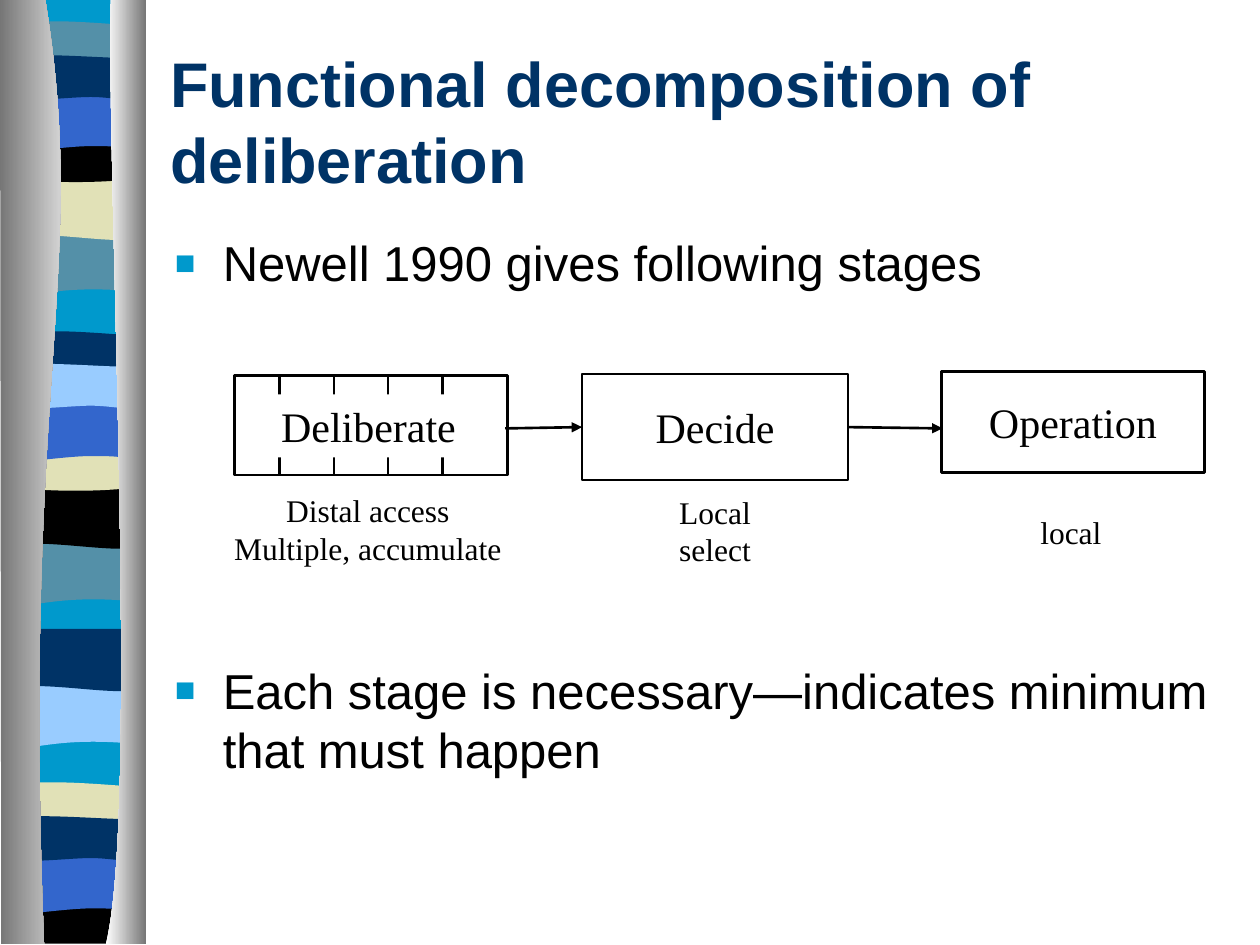
import dataclasses

import lxml.etree
import pptx
import pptx.dml.color
import pptx.enum.shapes
import pptx.enum.text
import pptx.oxml.ns
import pptx.util

Inches = pptx.util.Inches
Pt = pptx.util.Pt
RGB = pptx.dml.color.RGBColor.from_string
qn = pptx.oxml.ns.qn
SHAPE = pptx.enum.shapes.MSO_SHAPE
ANCHOR = pptx.enum.text.MSO_ANCHOR
ALIGN = pptx.enum.text.PP_ALIGN


@dataclasses.dataclass
class Theme:
    sans: str = "Arial"
    serif: str = "Times New Roman"
    title_pt: int = 36
    body_pt: int = 28
    stage_pt: int = 24
    caption_pt: int = 18
    line_pt: float = 1.5
    navy: str = "003366"
    cyan: str = "0099CC"
    teal: str = "5490A8"
    sand: str = "E1E1B7"
    blue: str = "3366CC"
    sky: str = "99CCFF"
    black: str = "000000"
    white: str = "FFFFFF"
    gray: str = "767676"


def write(tf, text, font, size, color, bold=False, align=ALIGN.LEFT,
          anchor=ANCHOR.MIDDLE, wrap=True):
    tf.text = text
    tf.word_wrap = wrap
    tf.vertical_anchor = anchor
    tf.auto_size = pptx.enum.text.MSO_AUTO_SIZE.NONE
    for p in tf.paragraphs:
        p.alignment = align
        for r in p.runs:
            r.font.name = font
            r.font.size = Pt(size)
            r.font.bold = bold
            r.font.color.rgb = RGB(color)


def bend_segments(sp, outline):
    segments = iter(list(sp._element.iter(qn("a:lnTo"))))
    for step in outline[1:]:
        first = next(segments)
        if len(step) == 6:
            first.tag = qn("a:cubicBezTo")
            for _ in range(2):
                other = next(segments)
                first.append(other[0])
                other.getparent().remove(other)


class SlideBuilder:
    def __init__(self, s, theme):
        self.s = s
        self.theme = theme

    def title(self, text, box):
        sp = self.s.shapes.title
        sp.left, sp.top, sp.width, sp.height = map(Inches, box)
        t = self.theme
        write(sp.text_frame, text, t.sans, t.title_pt, t.navy, bold=True)

    def outline(self, outline, x=0, y=0, color=None, gradient=None):
        points = [(Inches(x + step[i]), Inches(y + step[i + 1]))
                  for step in outline for i in range(0, len(step), 2)]
        builder = self.s.shapes.build_freeform(*points[0])
        builder.add_line_segments(points[1:], close=True)
        sp = builder.convert_to_shape()
        bend_segments(sp, outline)
        sp.shadow.inherit = False
        sp.line.fill.background()
        if gradient:
            sp.fill.gradient()
            sp.fill.gradient_angle = 0
            for stop, stop_color in zip(sp.fill.gradient_stops, gradient):
                stop.color.rgb = RGB(stop_color)
        else:
            sp.fill.solid()
            sp.fill.fore_color.rgb = RGB(color)

    def box(self, box, text="", filled=False, wrap=False):
        t = self.theme
        sp = self.s.shapes.add_shape(SHAPE.RECTANGLE, *map(Inches, box))
        sp.shadow.inherit = False
        if filled:
            sp.fill.solid()
            sp.fill.fore_color.rgb = RGB(t.white)
            sp.line.fill.background()
        else:
            sp.fill.background()
            sp.line.color.rgb = RGB(t.black)
            sp.line.width = Pt(t.line_pt)
        if text:
            write(sp.text_frame, text, t.serif, t.stage_pt, t.black,
                  align=ALIGN.CENTER, wrap=wrap)
        return sp

    def caption(self, text, box):
        t = self.theme
        sp = self.s.shapes.add_textbox(*map(Inches, box))
        write(sp.text_frame, text, t.serif, t.caption_pt, t.black,
              align=ALIGN.CENTER, wrap=False)

    def bullets(self, items, box, gap):
        t = self.theme
        sp = self.s.shapes.add_textbox(*map(Inches, box))
        tf = sp.text_frame
        write(tf, "\n".join(items), t.sans, t.body_pt, t.black, anchor=ANCHOR.TOP)
        for i, p in enumerate(tf.paragraphs):
            if i:
                p.space_before = Pt(gap)
            pPr = p._p.get_or_add_pPr()
            pPr.set("marL", str(Inches(0.38)))
            pPr.set("indent", str(-Inches(0.38)))
            color = lxml.etree.SubElement(pPr, qn("a:buClr"))
            lxml.etree.SubElement(color, qn("a:srgbClr"), val=t.cyan)
            lxml.etree.SubElement(pPr, qn("a:buSzPct"), val="70000")
            lxml.etree.SubElement(pPr, qn("a:buFont"), typeface=t.sans)
            lxml.etree.SubElement(pPr, qn("a:buChar"), char="■")

    def line(self, start, end, arrow=False):
        t = self.theme
        cx = self.s.shapes.add_connector(
            pptx.enum.shapes.MSO_CONNECTOR.STRAIGHT, *map(Inches, start + end))
        cx.line.color.rgb = RGB(t.black)
        cx.line.width = Pt(t.line_pt)
        if arrow:
            lxml.etree.SubElement(cx.line._get_or_add_ln(), qn("a:tailEnd"), type="triangle")
        lxml.etree.SubElement(cx._element.spPr, qn("a:effectLst"))
        return cx


RIPPLE = [(1.08, 0), (1.08, 0.47), (0.33, 0.39, 0.18, 0.55, 0, 0.47), (0, 0)]
SWELL = [(1.08, 0), (1.08, 0.47), (0.9, 0.55, 0.33, 0.41, 0, 0.47), (0, 0)]
RIBBON = [(1.08, 0.05), (1.08, 0.29), (0.9, 0.33, 0.18, 0.33, 0, 0.29), (0, 0.05),
          (0.06, 0, 0.23, 0.01, 0.41, 0.01), (0.59, 0.01, 0.94, 0.04, 1.08, 0.05)]
DIP = [(0, 0), (0.66, 0.05, 0.85, 0, 1.08, 0)]
BOWL = [(1.08, 0), (1.08, 0.32), (0.9, 0.38, 0.18, 0.38, 0, 0.32)] + DIP
FOOT = [(1.08, 0), (1.08, 0.37), (0, 0.37)] + DIP
ARCH = [(1.08, 0), (1.08, 0.47), (0.91, 0.42, 0.84, 0.42, 0.66, 0.42),
        (0.48, 0.42, 0.16, 0.47, 0, 0.47), (0, 0)]
FLAG = [(1.08, 0.05), (1.08, 0.36), (1.01, 0.41, 0.84, 0.36, 0.66, 0.36),
        (0.48, 0.36, 0.11, 0.41, 0, 0.36), (0, 0.05),
        (0.15, 0, 0.73, 0.05, 0.91, 0.05), (1.09, 0.05, 1.04, 0.05, 1.08, 0.05)]
BACKDROP = [(1.08, 0), (1.08, 7.47), (0, 7.47), (0, 0)]
LEFT_PILLAR = [(0.36, 0), (0.71, 2.16, 0.17, 2.96, 0.35, 7.49), (0.01, 7.49), (0, 0)]
RIGHT_PILLAR = [(0.88, 0), (0.84, 1.25, 1.11, 6.46, 0.84, 7.49), (1.16, 7.49), (1.16, 0)]


def main():
    t = Theme()
    prs = pptx.Presentation()
    prs.slide_width, prs.slide_height = Inches(10), Inches(7.5)
    b = SlideBuilder(prs.slides.add_slide(prs.slide_layouts[5]), t)

    for outline, y, color in [
            (BACKDROP, 0, t.cyan), (RIPPLE, 1.85, t.teal), (SWELL, 1.41, t.sand),
            (RIBBON, 0.16, t.teal), (BOWL, 1.08, t.black), (ARCH, 0.74, t.blue),
            (FLAG, 0.41, t.navy), (RIPPLE, 4.31, t.teal), (SWELL, 3.86, t.black),
            (RIBBON, 2.62, t.navy), (BOWL, 3.53, t.sand), (ARCH, 3.2, t.blue),
            (FLAG, 2.86, t.sky), (RIPPLE, 5.44, t.sky), (SWELL, 4.99, t.navy),
            (RIBBON, 6.2, t.sand), (FOOT, 7.12, t.black), (ARCH, 6.79, t.blue),
            (FLAG, 6.45, t.navy)]:
        b.outline(outline, 0.06, y, color)
    b.outline(LEFT_PILLAR, gradient=(t.gray, t.white))
    b.outline(RIGHT_PILLAR, gradient=(t.white, t.gray))

    b.title("Functional decomposition of deliberation", (1.25, 0.33, 8.5, 1.25))
    b.bullets(["Newell 1990 gives following stages",
               "Each stage is necessary—indicates minimum that must happen"],
              (1.29, 1.8, 8.5, 4.67), gap=210.5)

    b.box((1.86, 2.98, 2.17, 0.79))
    decide = b.box((4.62, 2.97, 2.11, 0.84), "Decide")
    b.box((7.47, 2.95, 2.09, 0.8), "Operation")
    for i in range(4):
        x = 2.22 + 0.43 * i
        b.line((x, 2.99), (x, 3.77))
    b.box((2.13, 3.13, 1.59, 0.5), "Deliberate", filled=True, wrap=True)

    b.caption("Distal access\nMultiple, accumulate", (1.76, 3.85, 2.32, 0.7))
    b.caption("Local\vselect", (5.29, 3.86, 0.77, 0.7))
    b.caption("local", (8.16, 4.02, 0.68, 0.4))

    b.line((4.01, 3.4), (4.62, 3.4), arrow=True).end_connect(decide, 1)
    b.line((6.73, 3.4), (7.48, 3.4), arrow=True).begin_connect(decide, 3)
    prs.save("out.pptx")


if __name__ == "__main__":
    main()
